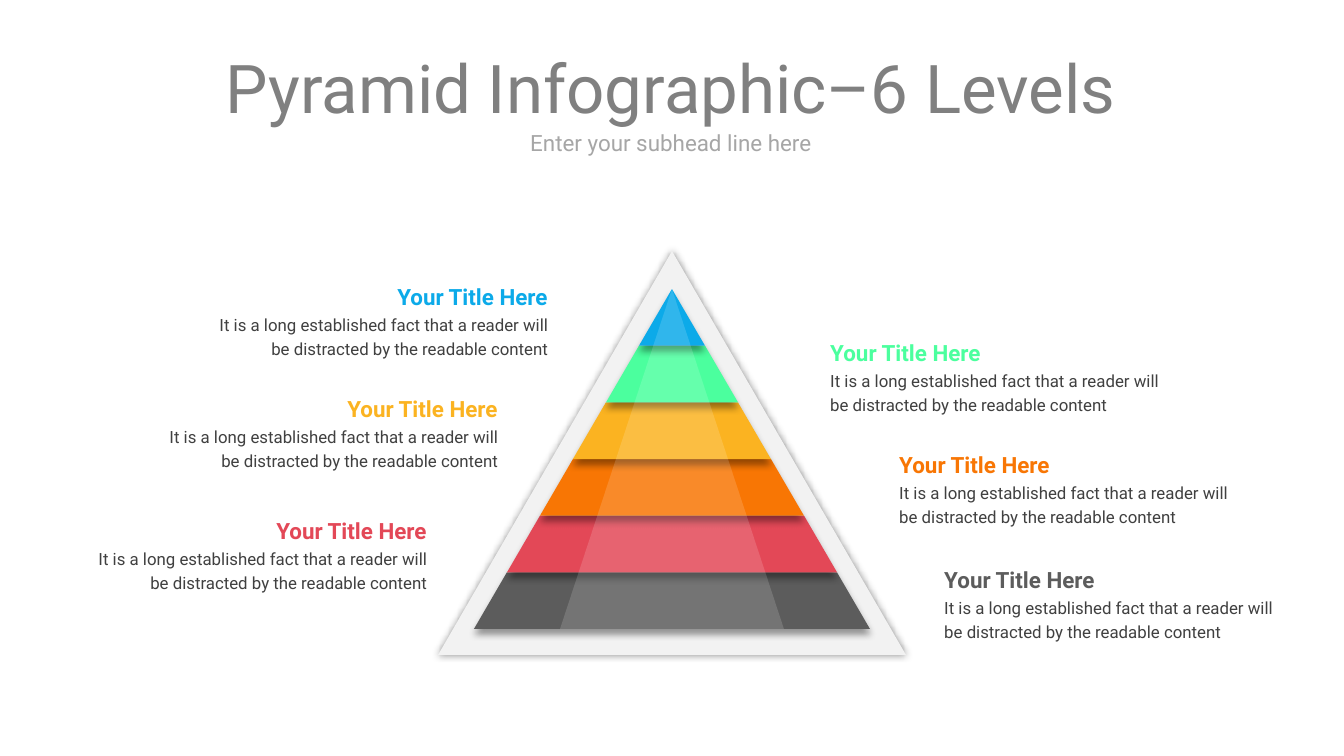
from lxml.etree import SubElement
from pptx import Presentation
from pptx.dml.color import RGBColor
from pptx.enum.text import MSO_ANCHOR, MSO_AUTO_SIZE, PP_ALIGN
from pptx.oxml.ns import qn
from pptx.util import Emu, Pt

WIDTH, HEIGHT = 1344, 756
SCALE = 9144000 / WIDTH
FONT = "Roboto"
WHITE = RGBColor(0xFF, 0xFF, 0xFF)
FRAME = RGBColor(0xF2, 0xF2, 0xF2)
TITLE = RGBColor(0x80, 0x80, 0x80)
SUBHEAD = RGBColor(0xA6, 0xA6, 0xA6)
BODY = RGBColor(0x40, 0x40, 0x40)
BLUE = RGBColor(0x0C, 0xAA, 0xE9)
GREEN = RGBColor(0x4B, 0xFF, 0x9E)
YELLOW = RGBColor(0xFB, 0xB3, 0x21)
ORANGE = RGBColor(0xF8, 0x76, 0x04)
RED = RGBColor(0xE3, 0x48, 0x57)
GRAY = RGBColor(0x5C, 0x5C, 0x5C)

CENTER_X = 672
APEX_Y, BASE_Y, HALF_BASE = 289, 629, 198
LEVELS = [BLUE, GREEN, YELLOW, ORANGE, RED, GRAY]
HEADING = "Your Title Here"
DETAIL = ("It is a long established fact that a reader will "
          "be distracted by the readable content")
LABELS = [
    (198, 271, BLUE), (148, 383, YELLOW), (77, 505, RED),
    (817, 327, GREEN), (886, 439, ORANGE), (931, 554, GRAY),
]


def px(n):
    """Convert pixels to EMU."""
    return Emu(round(n * SCALE))


def add_text(slide, text, box, size, color, bold=False, align=PP_ALIGN.LEFT,
             inset=None, spacing=None):
    """Add a text box with one formatted paragraph and return its frame."""
    tf = slide.shapes.add_textbox(*map(px, box)).text_frame
    tf.word_wrap = True
    tf.vertical_anchor = MSO_ANCHOR.MIDDLE
    if inset is not None:
        tf.margin_left = tf.margin_right = px(inset)
        tf.margin_top = tf.margin_bottom = px(inset)
    write(tf.paragraphs[0], text, size, color, bold, align, spacing)
    return tf


def write(p, text, size, color, bold, align, spacing):
    """Fill a paragraph with one run."""
    p.alignment = align
    p.line_spacing = spacing
    r = p.add_run()
    r.text = text
    r.font.name, r.font.size, r.font.bold = FONT, Pt(size), bold
    r.font.color.rgb = color


def add_alpha(parent, percent):
    """Set the opacity of a colour element."""
    SubElement(parent, qn("a:alpha"), val=str(percent * 1000))


def add_shadow(sp, opacity, distance):
    """Cast a soft black shadow downwards."""
    effects = sp._element.spPr.find(qn("a:effectLst"))
    shadow = SubElement(effects, qn("a:outerShdw"), blurRad=str(Pt(4)),
                        dist=str(Pt(distance)), dir="5400000",
                        algn="ctr", rotWithShape="0")
    add_alpha(SubElement(shadow, qn("a:srgbClr"), val="000000"), opacity)


def add_band(group, top, bottom, half_top, half_bottom, color):
    """Draw a centred trapezoid, or a triangle when half_top is zero."""
    points = [(CENTER_X - half_top, top), (CENTER_X + half_top, top),
              (CENTER_X + half_bottom, bottom),
              (CENTER_X - half_bottom, bottom)]
    if not half_top:
        points.pop(0)
    points = [(px(x), px(y)) for x, y in points]
    builder = group.shapes.build_freeform(*points[0])
    builder.add_line_segments(points[1:], close=True)
    sp = builder.convert_to_shape()
    sp.shadow.inherit = False
    sp.fill.solid()
    sp.fill.fore_color.rgb = color
    sp.line.fill.background()
    return sp


def add_pyramid(slide):
    """Stack the levels from the base up inside a frame, under a highlight."""
    group = slide.shapes.add_group_shape()
    add_shadow(add_band(group, 251, 655, 0, 234, FRAME), 45, 0)
    count = len(LEVELS)
    step, half_step = (BASE_Y - APEX_Y) / count, HALF_BASE / count
    for i in reversed(range(count)):
        top = APEX_Y + i * step
        sp = add_band(group, top, top + step, i * half_step,
                      (i + 1) * half_step, LEVELS[i])
        add_shadow(sp, 40, 3)
    shine = add_band(group, APEX_Y, BASE_Y, 0, 112, WHITE)
    add_alpha(shine._element.spPr.find(qn("a:solidFill"))[0], 15)


def add_label(slide, left, top, color):
    """Add a heading and detail, aligned towards the pyramid."""
    on_left = left < CENTER_X
    align = PP_ALIGN.RIGHT if on_left else PP_ALIGN.LEFT
    box = (left, top, 363 if on_left else 355, 95)
    tf = add_text(slide, HEADING, box, 12, color, bold=True, align=align,
                  spacing=1.2)
    tf.auto_size = MSO_AUTO_SIZE.SHAPE_TO_FIT_TEXT
    write(tf.add_paragraph(), DETAIL, 9, BODY, False, align, 1.2)


def main():
    """Build and save the slide."""
    prs = Presentation()
    prs.slide_width, prs.slide_height = px(WIDTH), px(HEIGHT)
    slide = prs.slides.add_slide(prs.slide_layouts[6])
    add_text(slide, "Pyramid Infographic–6 Levels", (56, 50, 1230, 73), 36,
             TITLE, align=PP_ALIGN.CENTER, inset=0)
    add_text(slide, "Enter your subhead line here", (56, 130, 1230, 26), 12,
             SUBHEAD, align=PP_ALIGN.CENTER, inset=0)
    add_pyramid(slide)
    for left, top, color in LABELS:
        add_label(slide, left, top, color)
    prs.save("out.pptx")


if __name__ == "__main__":
    main()
